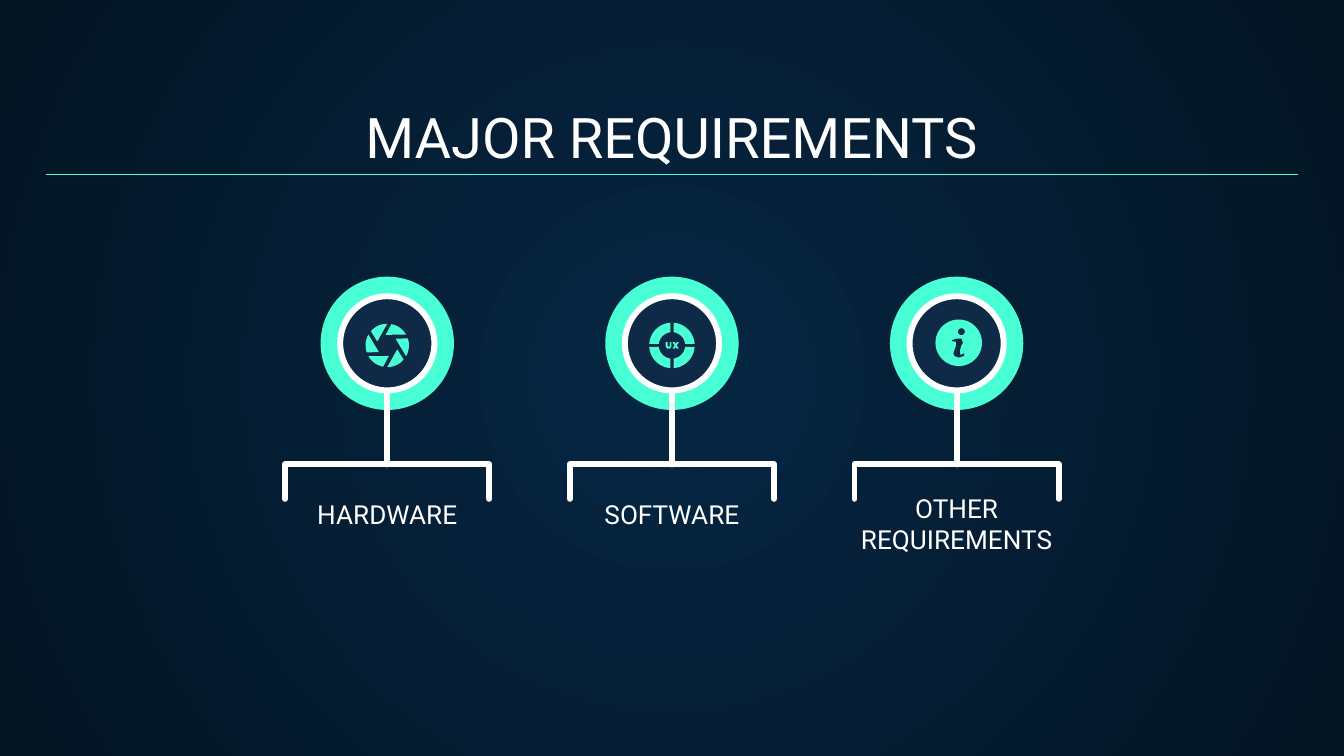
from math import asin, cos, pi, radians, sin
from lxml import etree
from pptx import Presentation
from pptx.dml.color import RGBColor
from pptx.enum import shapes, text
from pptx.oxml import parse_xml
from pptx.oxml.ns import nsdecls, qn
from pptx.util import Cm, Pt

WHITE = RGBColor(0xFF, 0xFF, 0xFF)
MINT = RGBColor(0x48, 0xFF, 0xD5)
NAVY = RGBColor(0x0E, 0x2A, 0x47)
BG_INNER = RGBColor(0x05, 0x26, 0x43)
BG_OUTER = RGBColor(0x04, 0x15, 0x23)

prs = Presentation()
prs.slide_width, prs.slide_height = Cm(25.4), Cm(14.29)
s = prs.slides.add_slide(prs.slide_layouts[5])


def oval(cx, cy, d, color):
    sp = s.shapes.add_shape(shapes.MSO_SHAPE.OVAL, Cm(cx - d / 2), Cm(cy - d / 2), Cm(d), Cm(d))
    sp.shadow.inherit = False
    sp.fill.solid()
    sp.fill.fore_color.rgb = color
    sp.line.fill.background()
    return sp


def outline(cx, cy, contours, color, closed=True):
    """Filled contours, or an open round-capped stroke; points are cm from (cx, cy)."""
    paths = [[(Cm(cx + x), Cm(cy + y)) for x, y in c] for c in contours]
    fb = s.shapes.build_freeform(*paths[0][0])
    fb.add_line_segments(paths[0][1:], close=closed)
    for pts in paths[1:]:
        fb.move_to(*pts[0])
        fb.add_line_segments(pts[1:], close=closed)
    sp = fb.convert_to_shape()
    sp.shadow.inherit = False
    if closed:
        sp.fill.solid()
        sp.fill.fore_color.rgb = color
        sp.line.fill.background()
    else:
        sp.fill.background()
        sp.line.color.rgb = color
        sp.line.width = Pt(3.2)
        ln = sp.line._get_or_add_ln()
        ln.set("cap", "rnd")
        etree.SubElement(ln, qn("a:round"))
    return sp


# Background: radial gradient
s._element.cSld.insert(0, parse_xml(
    f'<p:bg {nsdecls("p", "a")}><p:bgPr><a:gradFill rotWithShape="1"><a:gsLst>'
    f'<a:gs pos="0"><a:srgbClr val="{BG_INNER}"/></a:gs>'
    f'<a:gs pos="100000"><a:srgbClr val="{BG_OUTER}"/></a:gs></a:gsLst>'
    '<a:path path="circle"><a:fillToRect l="50000" t="50000" r="50000" b="50000"/></a:path>'
    '</a:gradFill><a:effectLst/></p:bgPr></p:bg>'))

# Three columns: mint disc, stem, white-ringed centre, bracket
COLUMNS = [7.32, 12.7, 18.08]
DISC_Y, BAR_Y = 6.49, 8.78
for cx in COLUMNS:
    oval(cx, DISC_Y, 2.52, MINT)
    outline(cx, 0, [[(0, DISC_Y), (0, BAR_Y)]], WHITE, closed=False)
    centre = oval(cx, DISC_Y, 1.78, NAVY)
    centre.line.color.rgb = WHITE
    centre.line.width = Pt(3.2)
    outline(cx, BAR_Y, [[(-1.93, 0.65), (-1.93, 0), (1.93, 0), (1.93, 0.65)]], WHITE, closed=False)

# Shutter icon: one blade turned six times
blade = [(-0.03, -0.2)] + [(0.41 * cos(radians(a)), 0.41 * sin(radians(a)))
                           for a in range(-79, -29, 7)]
turns = [k * pi / 3 for k in range(6)]
outline(COLUMNS[0], 6.53, [[(x * cos(t) - y * sin(t), x * sin(t) + y * cos(t)) for x, y in blade]
                           for t in turns], MINT)

# UX icon: ring quarter mirrored four times, then the letter outlines
GAP, STEPS = 0.03, 10
quarter = []
for radius, order in ((0.43, range(STEPS + 1)), (0.25, range(STEPS, -1, -1))):
    a0 = asin(GAP / radius)
    for i in order:
        a = a0 + (pi / 2 - 2 * a0) * i / STEPS
        quarter.append((radius * cos(a), radius * sin(a)))
outline(COLUMNS[1], 6.53, [[(sx * x, sy * y) for x, y in quarter]
                           for sx in (1, -1) for sy in (1, -1)], MINT)
letter_u = [(-0.12, -0.06), (-0.08, -0.06), (-0.08, 0.01), (-0.06, 0.03), (-0.04, 0.01),
            (-0.04, -0.06), (-0.01, -0.06), (-0.01, 0.02), (-0.04, 0.06), (-0.09, 0.06),
            (-0.12, 0.02)]
letter_x = [(0.01, -0.06), (0.05, -0.06), (0.07, -0.03), (0.09, -0.06), (0.13, -0.06),
            (0.09, 0), (0.13, 0.06), (0.09, 0.06), (0.07, 0.03), (0.05, 0.06),
            (0.01, 0.06), (0.05, 0)]
outline(COLUMNS[1], 6.53, [letter_u, letter_x], MINT)

# Info icon: disc, dot and slanted stroke
info_x = COLUMNS[2] + 0.04
oval(info_x, 6.48, 0.88, MINT)
oval(info_x + 0.05, 6.27, 0.13, NAVY)
outline(info_x, 6.48, [[(-0.13, -0.05), (-0.03, -0.08), (0.05, -0.08), (0.08, 0), (0.05, 0.05),
                        (0.02, 0.15), (0.03, 0.23), (0.1, 0.2), (0.1, 0.25), (0, 0.28),
                        (-0.08, 0.25), (-0.1, 0.2), (-0.05, 0.05), (-0.05, -0.02),
                        (-0.13, -0.03)]], NAVY)

# Title and column labels
title = s.shapes.title
title.left, title.top, title.width, title.height = Cm(0.86), Cm(1.78), Cm(23.67), Cm(1.68)
blocks = [(title, "MAJOR REQUIREMENTS", 30, 0.25)]
labels = [("HARDWARE", 10.26), ("SOFTWARE", 10.26), ("OTHER REQUIREMENTS", 10.74)]
for cx, (label, bottom) in zip(COLUMNS, labels):
    tb = s.shapes.add_textbox(Cm(cx - 2.88), Cm(bottom - 1.88), Cm(5.76), Cm(1.88))
    blocks.append((tb, label, 14, 0.5))
for sp, words, size, side in blocks:
    tf = sp.text_frame
    tf.word_wrap = True
    tf.auto_size = text.MSO_AUTO_SIZE.NONE
    tf.vertical_anchor = text.MSO_ANCHOR.BOTTOM
    tf.margin_left = tf.margin_right = Cm(side)
    tf.margin_top = tf.margin_bottom = Cm(0.25)
    p = tf.paragraphs[0]
    p.alignment = text.PP_ALIGN.CENTER
    r = p.add_run()
    r.text = words
    r.font.name, r.font.size = "Roboto", Pt(size)
    r.font.color.rgb = WHITE

# Rule under the title
rule = s.shapes.add_connector(shapes.MSO_CONNECTOR.STRAIGHT, Cm(0.86), Cm(3.3), Cm(24.54), Cm(3.3))
rule.line.color.rgb = MINT
rule.line.width = Pt(0.75)
etree.SubElement(rule._element.spPr, qn("a:effectLst"))

prs.save("out.pptx")
